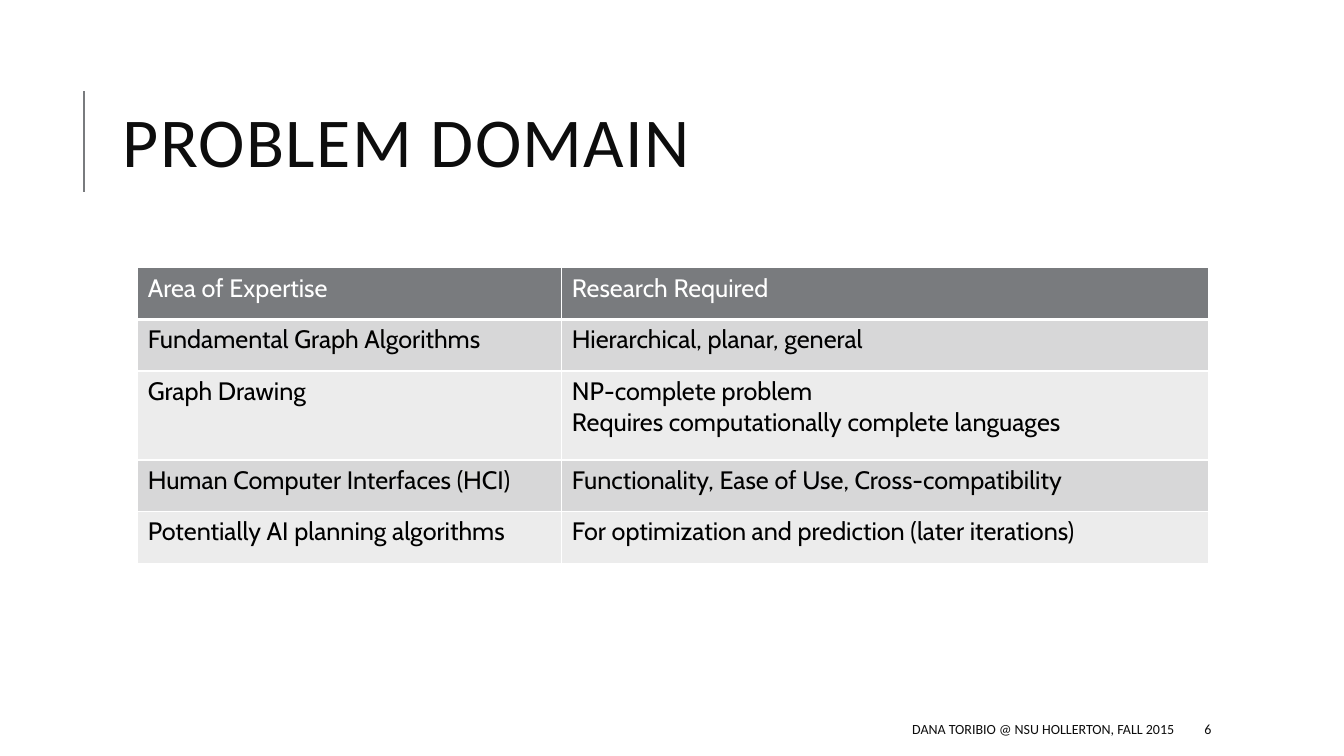
from dataclasses import dataclass

from lxml import etree
from pptx import Presentation
from pptx.dml.color import RGBColor
from pptx.enum.shapes import MSO_CONNECTOR
from pptx.enum.text import MSO_ANCHOR, PP_ALIGN
from pptx.oxml.ns import qn
from pptx.util import Cm, Pt

STRAIGHT = MSO_CONNECTOR.STRAIGHT
MIDDLE = MSO_ANCHOR.MIDDLE
LEFT, RIGHT = PP_ALIGN.LEFT, PP_ALIGN.RIGHT
BLANK_LAYOUT = 6


@dataclass(frozen=True)
class Theme:
    heading_font: str = "Calibri"
    table_font: str = "Cabin"
    ink: str = "0D0D0D"
    black: str = "000000"
    white: str = "FFFFFF"
    accent: str = "797B7E"
    bands: tuple = ("D7D7D8", "ECECEC")
    title_size: int = 50
    table_size: int = 18
    footer_size: int = 10
    rule_width: float = 1.5
    border_width: int = 1
    header_border_width: int = 3


def write_text(frame, text, *, font, size, color, align=LEFT,
               line_spacing=None, tracking=None):
    """Fill a text frame, one paragraph for each line of text."""
    for index, line in enumerate(text.split("\n")):
        para = frame.add_paragraph() if index else frame.paragraphs[0]
        para.alignment = align
        if line_spacing:
            para.line_spacing = line_spacing
        span = para.add_run()
        span.text = line
        span.font.name = font
        span.font.size = Pt(size)
        span.font.bold = False
        span.font.color.rgb = RGBColor.from_string(color)
        if tracking:
            span.font._element.set("spc", str(round(tracking * 100)))


class PageBuilder:
    def __init__(self, page, theme):
        self.page = page
        self.theme = theme

    def rule(self, x, top, bottom):
        line = self.page.shapes.add_connector(
            STRAIGHT, Cm(x), Cm(bottom), Cm(x), Cm(top))
        line.line.color.rgb = RGBColor.from_string(self.theme.accent)
        line.line.width = Pt(self.theme.rule_width)
        etree.SubElement(line._element.spPr, qn("a:effectLst"))

    def text(self, text, left, top, width, height, size, **text_format):
        box = self.page.shapes.add_textbox(
            Cm(left), Cm(top), Cm(width), Cm(height))
        box.text_frame.word_wrap = True
        box.text_frame.vertical_anchor = MIDDLE
        write_text(box.text_frame, text, font=self.theme.heading_font,
                   size=size, color=self.theme.ink, **text_format)

    def border(self, cell, widths):
        properties = cell._tc.get_or_add_tcPr()
        for index, (side, width) in enumerate(widths.items()):
            line = etree.Element(qn(f"a:ln{side}"), w=str(Pt(width)))
            fill = etree.SubElement(line, qn("a:solidFill"))
            etree.SubElement(fill, qn("a:srgbClr"), val=self.theme.white)
            properties.insert(index, line)

    def table(self, rows, left, top, column_widths, row_heights):
        theme = self.theme
        table = self.page.shapes.add_table(
            len(rows), len(column_widths), Cm(left), Cm(top),
            Cm(sum(column_widths)), Cm(sum(row_heights))).table
        table.horz_banding = False
        for column, width in zip(table.columns, column_widths):
            column.width = Cm(width)
        for row, height in zip(table.rows, row_heights):
            row.height = Cm(height)

        for r, row in enumerate(rows):
            header = r == 0
            fill = theme.accent if header else theme.bands[(r - 1) % 2]
            # Left, right, top and bottom; heavier line below the header
            widths = dict.fromkeys("LRTB", theme.border_width)
            if r < 2:
                widths["B" if header else "T"] = theme.header_border_width
            for c, text in enumerate(row):
                cell = table.cell(r, c)
                cell.fill.solid()
                cell.fill.fore_color.rgb = RGBColor.from_string(fill)
                self.border(cell, widths)
                write_text(cell.text_frame, text, font=theme.table_font,
                           size=theme.table_size,
                           color=theme.white if header else theme.black)


EXPERTISE = [
    ("Area of Expertise", "Research Required"),
    ("Fundamental Graph Algorithms", "Hierarchical, planar, general"),
    ("Graph Drawing",
     "NP-complete problem\nRequires computationally complete languages"),
    ("Human Computer Interfaces (HCI)",
     "Functionality, Ease of Use, Cross-compatibility"),
    ("Potentially AI planning algorithms",
     "For optimization and prediction (later iterations)"),
]


def main():
    deck = Presentation()
    deck.slide_width, deck.slide_height = Cm(33.87), Cm(19.05)
    page = deck.slides.add_slide(deck.slide_layouts[BLANK_LAYOUT])
    theme = Theme()
    builder = PageBuilder(page, theme)

    # Title with its vertical rule
    builder.rule(2.12, 2.29, 4.83)
    builder.text("PROBLEM DOMAIN", 2.84, 1.63, 27, 4.17, theme.title_size,
                 line_spacing=0.8, tracking=1)

    # Expertise table
    builder.table(EXPERTISE, 3.47, 6.75, (10.69, 16.31),
                  (1.3, 1.3, 2.24, 1.3, 1.3))

    # Footer and page number
    builder.text("DANA TORIBIO @ NSU HOLLERTON, FALL 2015",
                 13.46, 17.98, 16.38, 0.76, theme.footer_size, align=RIGHT)
    builder.text("6", 30.1, 17.98, 2.69, 0.76, theme.footer_size)

    deck.save("out.pptx")


if __name__ == "__main__":
    main()
